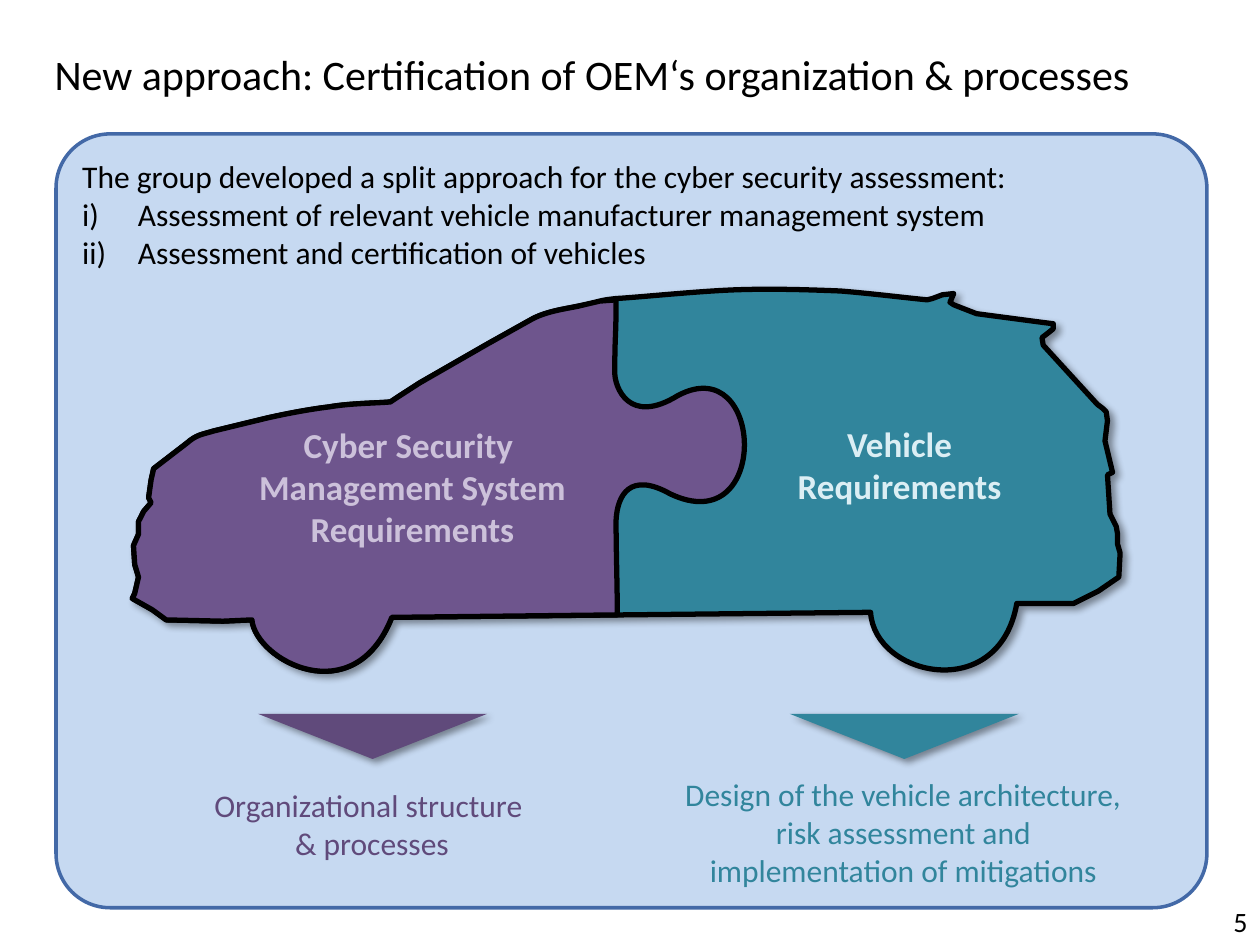
import lxml.etree
import pptx
import pptx.dml.color
import pptx.enum.shapes
import pptx.enum.text
import pptx.oxml.ns
import pptx.util
from pptx.oxml.ns import qn
from pptx.util import Cm

PURPLE, TEAL, BLACK = "604A7B", "31859C", "000000"
LEFT, CENTER, RIGHT = (pptx.enum.text.PP_ALIGN.LEFT, pptx.enum.text.PP_ALIGN.CENTER,
                       pptx.enum.text.PP_ALIGN.RIGHT)
OUTLINE_UNIT = Cm(0.0254)

# Outlines: two numbers are a corner, six are a cubic curve (two controls, end).
HOOD = [
    (459, 243), (450, 245, 433, 247, 421, 254), (387, 273), (333, 304), (316, 315),
    (310, 319), (301, 320, 278, 320, 261, 323), (244, 325, 219, 330, 207, 333),
    (170, 342), (160, 345, 156, 345, 148, 352), (122, 372), (120, 381), (118, 395),
    (120, 399), (114, 406), (110, 414), (110, 424), (106, 433), (107, 448),
    (110, 458), (107, 471), (105, 475), (121, 484), (132, 492), (177, 493),
    (200, 492), (203, 524, 281, 566, 311, 490),
]
REAR_AND_ROOF = [
    (881, 408), (879, 377), (883, 375), (877, 350), (879, 334), (878, 327),
    (875, 324), (871, 321), (828, 274), (827, 268), (831, 265), (836, 261),
    (836, 257), (828, 256), (775, 249), (757, 242), (754, 240), (757, 233),
    (748, 234), (740, 237), (736, 238), (724, 237, 692, 233, 667, 231),
    (642, 230, 614, 229, 585, 230), (555, 231, 507, 236, 489, 237),
    (471, 239, 480, 239, 475, 240),
]
UNDERBODY = [
    (691, 486), (694, 537, 793, 559, 807, 479), (852, 479), (872, 469), (888, 458),
    (889, 439), (887, 432), (887, 424), (886, 418), (884, 414),
]
PUZZLE_JOINT = [
    (311, 490), (490, 488), (490, 464, 489, 438, 489, 413),
    (490, 393, 500, 374, 532, 392), (612, 430, 607, 277, 538, 314),
    (499, 338, 488, 307, 488, 296), (488, 264, 489, 270, 489, 238), (476, 239),
]


def color(hex_value):
    return pptx.dml.color.RGBColor.from_string(hex_value)


def paint(shape, fill, line=None, width=0):
    shape.shadow.inherit = False
    shape.fill.solid()
    shape.fill.fore_color.rgb = color(fill)
    if line:
        shape.line.color.rgb = color(line)
        shape.line.width = pptx.util.Pt(width)
    else:
        shape.line.fill.background()


def cast_shadow(shape):
    effects = shape._element.spPr.find(qn("a:effectLst"))
    shadow = lxml.etree.SubElement(
        effects, qn("a:outerShdw"), blurRad=str(pptx.util.Pt(4)),
        dist=str(pptx.util.Pt(3)), dir=str(45 * 60000), algn="tl", rotWithShape="0")
    tint = lxml.etree.SubElement(shadow, qn("a:srgbClr"), val=BLACK)
    lxml.etree.SubElement(tint, qn("a:alpha"), val="40000")


def style(paragraph, size, hex_value, align=LEFT, bold=False):
    paragraph.alignment = align
    font = paragraph.font
    font.name, font.size, font.bold = "Calibri", pptx.util.Pt(size), bold
    font.color.rgb = color(hex_value)


def add_label(shapes, box, text, size, hex_value, align=CENTER, bold=False):
    frame = shapes.add_textbox(*map(Cm, box)).text_frame
    frame.word_wrap = True
    frame.text = text
    style(frame.paragraphs[0], size, hex_value, align, bold)


def add_outline(shapes, outline, right, bottom, fill):
    """Draw a closed outline whose curves reach as far as right and bottom."""
    corners = [step[-2:] for step in outline]
    builder = shapes.build_freeform(*corners[0], scale=OUTLINE_UNIT)
    builder.add_line_segments(corners[1:], close=True)
    part = builder.convert_to_shape()
    left, top = (min(axis) for axis in zip(*corners))
    part.width, part.height = (right - left) * OUTLINE_UNIT, (bottom - top) * OUTLINE_UNIT
    route = part._element.spPr.find(".//" + qn("a:path"))
    route.set("w", str(right - left))
    route.set("h", str(bottom - top))
    for segment, step in zip(list(route)[1:], outline[1:]):
        if len(step) == 6:
            curve = lxml.etree.Element(qn("a:cubicBezTo"))
            for x, y in zip(step[::2], step[1::2]):
                lxml.etree.SubElement(curve, qn("a:pt"), x=str(x - left), y=str(y - top))
            route.replace(segment, curve)
    paint(part, fill, BLACK, 3)
    return part


def add_car(slide):
    car = slide.shapes.add_group_shape().shapes
    body = add_outline(car, REAR_AND_ROOF + HOOD + UNDERBODY, 889, 533, TEAL)
    cast_shadow(body)
    add_outline(car, PUZZLE_JOINT + HOOD, 591, 533, "6E558D")
    add_label(car, (4.34, 8.41, 7.95, 2.82),
              "Cyber Security \vManagement System Requirements", 20, "CCC1DA", bold=True)
    add_label(car, (14.16, 8.4, 7.95, 1.96), "Vehicle\vRequirements", 20, "DBEEF4",
              bold=True)


def add_panel(slide, intro, items):
    panel = slide.shapes.add_shape(pptx.enum.shapes.MSO_SHAPE.ROUNDED_RECTANGLE,
                                   Cm(1.13), Cm(2.7), Cm(23.2), Cm(15.6))
    panel.adjustments[0] = 0.07
    paint(panel, "C6D9F1", "4369A7", 2)
    frame = panel.text_frame
    frame.vertical_anchor = pptx.enum.text.MSO_ANCHOR.TOP
    frame.margin_left, frame.margin_right, frame.margin_top = Cm(0.21), 0, Cm(0.15)
    frame.text = "\n".join([intro, *items])
    for paragraph in frame.paragraphs:
        style(paragraph, 18, BLACK)
    indent = Cm(1.12)
    for paragraph in frame.paragraphs[1:]:
        properties = paragraph._p.get_or_add_pPr()
        properties.set("marL", str(indent))
        properties.set("indent", str(-indent))
        numbering = lxml.etree.Element(qn("a:buAutoNum"), type="romanLcParenR")
        properties.insert(0, numbering)


def add_down_arrow(slide, left, fill):
    arrow = slide.shapes.add_shape(pptx.enum.shapes.MSO_SHAPE.ISOSCELES_TRIANGLE,
                                   Cm(left), Cm(14.39), Cm(4.62), Cm(0.91))
    arrow.rotation = 180
    paint(arrow, fill)
    cast_shadow(arrow)


def main():
    deck = pptx.Presentation()
    deck.slide_width, deck.slide_height = Cm(25.4), Cm(19.05)
    slide = deck.slides.add_slide(deck.slide_layouts[6])
    add_label(slide.shapes, (21.16, 18.11, 4.24, 0.94), "5", 16, BLACK, RIGHT)
    add_panel(slide,
              "The group developed a split approach for the cyber security assessment:",
              ["Assessment of relevant vehicle manufacturer management system",
               "Assessment and certification of vehicles"])
    add_label(slide.shapes, (0.85, 0.86, 23.29, 1.27),
              "New approach: Certification of OEM‘s organization & processes",
              24, BLACK, LEFT)
    add_car(slide)
    add_down_arrow(slide, 5.2, PURPLE)
    add_down_arrow(slide, 15.92, TEAL)
    add_label(slide.shapes, (3.69, 15.72, 7.62, 1.8),
              "Organizational structure \v& processes", 18, PURPLE)
    add_label(slide.shapes, (13.37, 15.5, 9.68, 2.57),
              "Design of the vehicle architecture, risk assessment and "
              "implementation of mitigations", 18, TEAL)
    deck.save("out.pptx")


if __name__ == "__main__":
    main()
